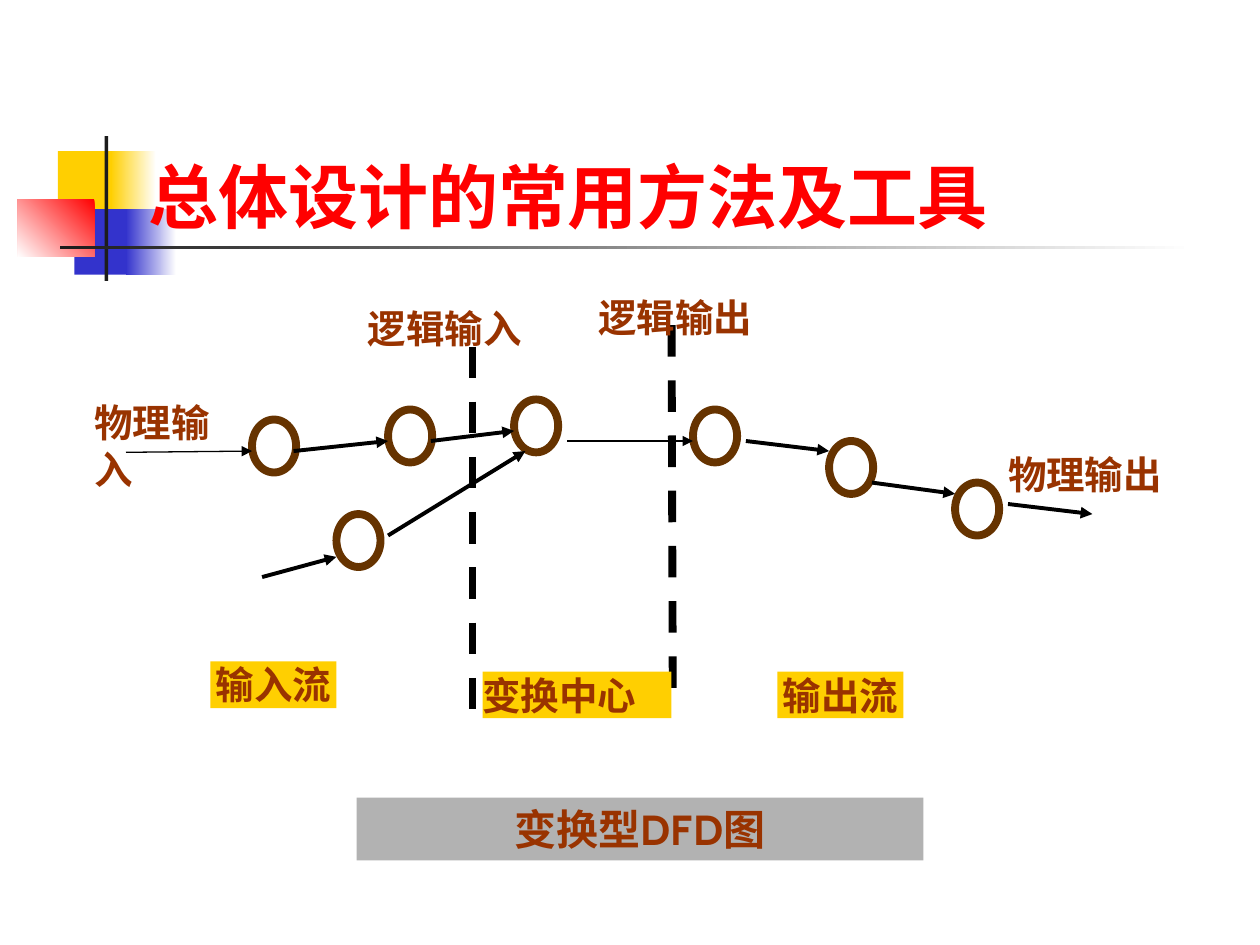
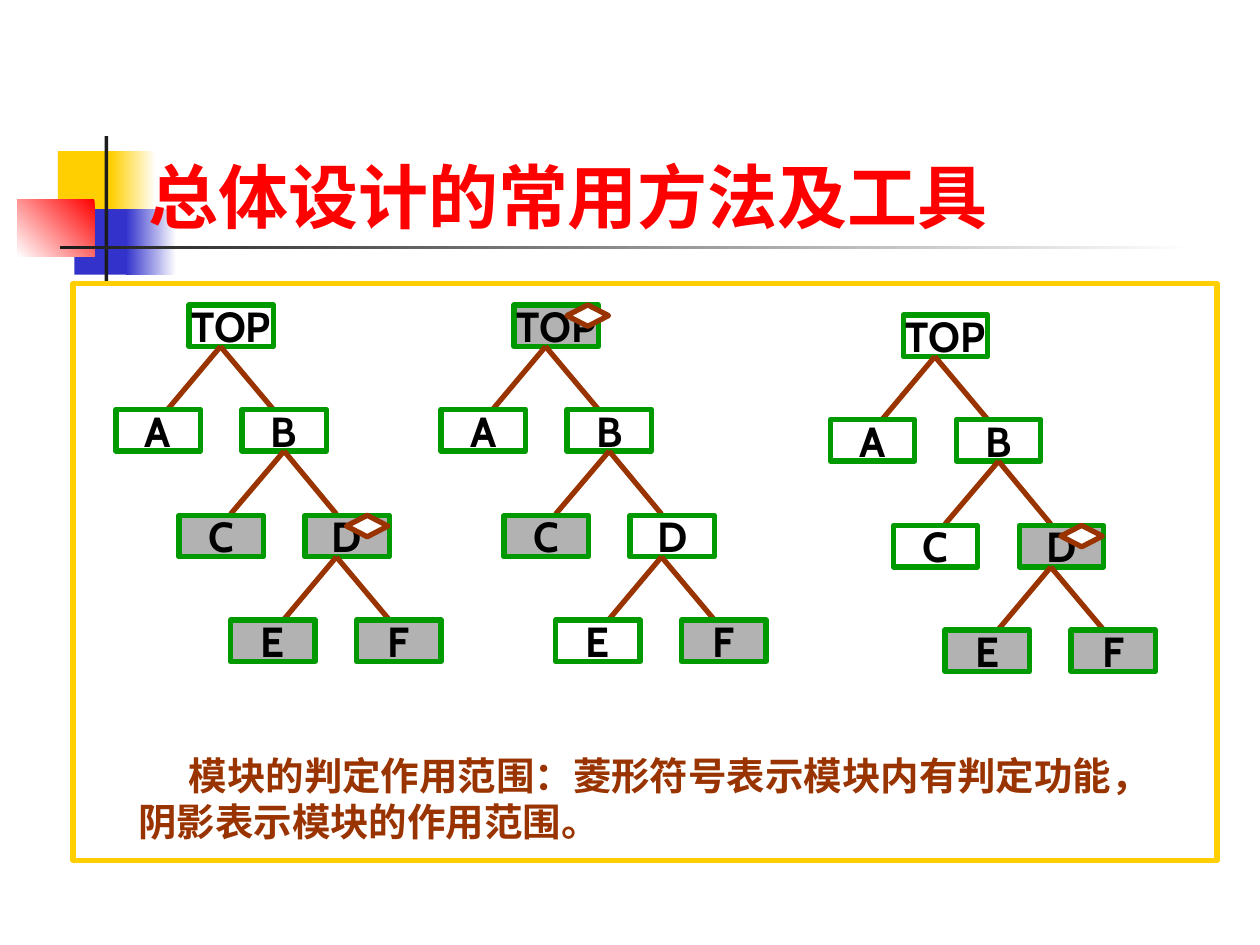
from dataclasses import dataclass

from lxml import etree
from pptx import Presentation
from pptx.dml.color import RGBColor
from pptx.enum.dml import MSO_LINE
from pptx.enum.shapes import MSO_CONNECTOR, MSO_SHAPE
from pptx.enum.text import MSO_ANCHOR, PP_ALIGN
from pptx.oxml.ns import qn
from pptx.util import Inches, Pt

RECT, OVAL, GEM = MSO_SHAPE.RECTANGLE, MSO_SHAPE.OVAL, MSO_SHAPE.DIAMOND
STRAIGHT, DASH = MSO_CONNECTOR.STRAIGHT, MSO_LINE.DASH
LEFT, MID = PP_ALIGN.LEFT, PP_ALIGN.CENTER
TOP, CENTER = MSO_ANCHOR.TOP, MSO_ANCHOR.MIDDLE


@dataclass(frozen=True)
class Theme:
    white: str = "FFFFFF"
    black: str = "000000"
    gold: str = "FFCF01"
    blue: str = "3333CC"
    red: str = "FF0000"
    ink: str = "1C1C1C"
    rust: str = "993300"
    brown: str = "663300"
    green: str = "009900"
    gray: str = "B2B2B2"
    serif: str = "Times New Roman"
    sans: str = "Cabin"
    head: int = 40
    node: int = 24
    body: int = 22
    thick: float = 4.5
    firm: float = 3
    flow: float = 2.25
    thin: float = 0.75


theme = Theme()
title = dict(size=theme.head, name=theme.serif, color=theme.red)
label = dict(size=theme.body, name=theme.sans, color=theme.rust)
banner = dict(label, size=theme.node)
node = dict(label, size=theme.node, color=theme.black)
tight = dict(margin_left=0, margin_right=0, margin_top=0, margin_bottom=0)
loose = dict(margin_left=Inches(0.1), margin_right=Inches(0.1),
             margin_top=Inches(0.05), margin_bottom=Inches(0.05))


def put(slide, kind, at, fill=None, line=None, words=None, style=label,
        frame=tight, align=LEFT, anchor=TOP, wrap=True):
    place = [Inches(n) for n in at]
    if kind is None:
        shape = slide.shapes.add_textbox(*place)
    else:
        shape = slide.shapes.add_shape(kind, *place)
        shape.shadow.inherit = False
        if fill:
            shape.fill.solid()
            shape.fill.fore_color.rgb = RGBColor.from_string(fill)
        else:
            shape.fill.background()
        if line:
            shape.line.color.rgb = RGBColor.from_string(line[0])
            shape.line.width = Pt(line[1])
        else:
            shape.line.fill.background()
    if words:
        text = shape.text_frame
        for key, value in dict(frame, vertical_anchor=anchor, word_wrap=wrap).items():
            setattr(text, key, value)
        para = text.paragraphs[0]
        para.alignment = align
        run = para.add_run()
        run.text = words
        form = dict(size=Pt(style["size"]), name=style["name"], bold=True)
        for key, value in form.items():
            setattr(run.font, key, value)
        run.font.color.rgb = RGBColor.from_string(style["color"])
    return shape


def link(slide, ends, color, width, dash=None, arrow=False):
    wire = slide.shapes.add_connector(STRAIGHT, *[Inches(n) for n in ends])
    wire.line.color.rgb = RGBColor.from_string(color)
    wire.line.width = Pt(width)
    if dash:
        wire.line.dash_style = dash
    props = wire.line._get_or_add_ln().getparent()
    if arrow:
        etree.SubElement(props.find(qn("a:ln")), qn("a:tailEnd"), type="triangle")
    etree.SubElement(props, qn("a:effectLst"))
    return wire


deck = Presentation()
deck.slide_width, deck.slide_height = Inches(10), Inches(7.5)
blank = deck.slide_layouts[6]
slides = [deck.slides.add_slide(blank) for _ in range(2)]

motif = [
    ((0.46, 1.2, 0.48, 0.52), theme.gold, None, 0),
    ((0.88, 1.2, 0.36, 0.52), theme.white, theme.gold, 180),
    ((0.59, 1.66, 0.46, 0.52), theme.blue, None, 0),
    ((1, 1.66, 0.4, 0.52), theme.white, theme.blue, 180),
    ((0.14, 1.58, 0.61, 0.46), theme.red, theme.white, 225),
    ((0.83, 1.08, 0.03, 1.15), theme.ink, None, 0),
    ((0.48, 1.95, 9, 0.03), theme.white, theme.ink, 180),
]
for slide in slides:
    for at, first, last, angle in motif:
        block = put(slide, RECT, at, first)
        if last:
            block.fill.gradient()
            block.fill.gradient_angle = angle
            for stop, color, spot in zip(block.fill.gradient_stops, (first, last), (0, 1)):
                stop.color.rgb = RGBColor.from_string(color)
                stop.position = spot
    put(slide, None, (1.08, 1.17, 8.5, 0.77), words="总体设计的常用方法及工具",
        style=title, frame=loose)

flow, scope = slides

for x, y in [(2, 3.33), (2.67, 4.08), (3.08, 3.25), (4.08, 3.17),
             (5.5, 3.25), (6.58, 3.5), (7.58, 3.83)]:
    put(flow, OVAL, (x, y, 0.35, 0.42), line=(theme.brown, theme.thick))

arrows = {
    theme.thin: [(1, 3.59, 2, 3.58), (4.5, 3.5, 5.5, 3.5)],
    theme.flow: [(2.08, 4.58, 2.67, 4.42), (2.33, 3.58, 3.08, 3.5),
                 (3.42, 3.5, 4.08, 3.42), (3.08, 4.25, 4.17, 3.58),
                 (5.92, 3.5, 6.58, 3.58), (6.92, 3.83, 7.58, 3.92),
                 (8, 4, 8.67, 4.08)],
}
for width, routes in arrows.items():
    for ends in routes:
        link(flow, ends, theme.black, width, arrow=True)
for ends in [(3.75, 2.75, 3.75, 5.67), (5.33, 2.58, 5.34, 5.58)]:
    link(flow, ends, theme.black, theme.thick, dash=DASH)

for words, at in [("物理输入", (0.75, 3.17, 1.17, 0.73)),
                  ("物理输出", (8, 3.58, 1.25, 0.37)),
                  ("逻辑输出", (4.75, 2.33, 1.25, 0.37)),
                  ("逻辑输入", (2.92, 2.42, 1.33, 0.37))]:
    put(flow, None, at, words=words)
for words, x, y, wide, align in [("输入流", 1.67, 5.25, 1, MID),
                                 ("变换中心", 3.83, 5.33, 1.5, LEFT),
                                 ("输出流", 6.17, 5.33, 1, MID)]:
    put(flow, RECT, (x, y, wide, 0.37), theme.gold, words=words, align=align)
put(flow, RECT, (2.83, 6.33, 4.5, 0.5), theme.gray, words="变换型DFD图",
    style=banner, frame=loose, align=MID)

put(scope, RECT, (0.58, 2.25, 9.08, 4.58), line=(theme.gold, theme.firm))
note = put(scope, None, (1, 5.92, 8.42, 0.84), frame=loose,
           words="模块的判定作用范围：菱形符号表示模块内有判定功能，阴影表示模块的作用范围。")
note.text_frame.paragraphs[0]._p.get_or_add_pPr().set("indent", str(Inches(0.4)))

spots = {"TOP": (0, 0), "A": (-0.58, 0.83), "B": (0.42, 0.83), "C": (-0.08, 1.67),
         "D": (0.92, 1.67), "E": (0.33, 2.5), "F": (1.33, 2.5)}
forks = {"TOP": 0.25, "B": 0.33, "D": 0.25}
trees = [
    (1.5, 2.42, ["C", "D", "E", "F"], "D", 0.33),
    (4.08, 2.42, ["TOP", "C", "F"], "TOP", 0.42),
    (7.17, 2.5, ["D", "E", "F"], "D", 0.33),
]
for left, top, shade, judge, shift in trees:
    for name, (dx, dy) in spots.items():
        x, y = left + dx, top + dy
        box = put(scope, RECT, (x, y, 0.67, 0.33), theme.gray if name in shade else None,
                  (theme.green, theme.firm), name, node, loose, MID, CENTER, False)
        if name in forks:
            start = x + forks[name]
            for side in (-0.42, 0.42):
                branch = link(scope, (start, y + 0.33, start + side, y + 0.83),
                              theme.rust, theme.firm)
                if name == "B":
                    branch.begin_connect(box, 2)
    dx, dy = spots[judge]
    put(scope, GEM, (left + dx + shift, top + dy, 0.33, 0.17), theme.white,
        (theme.rust, theme.firm))

deck.save("out.pptx")
